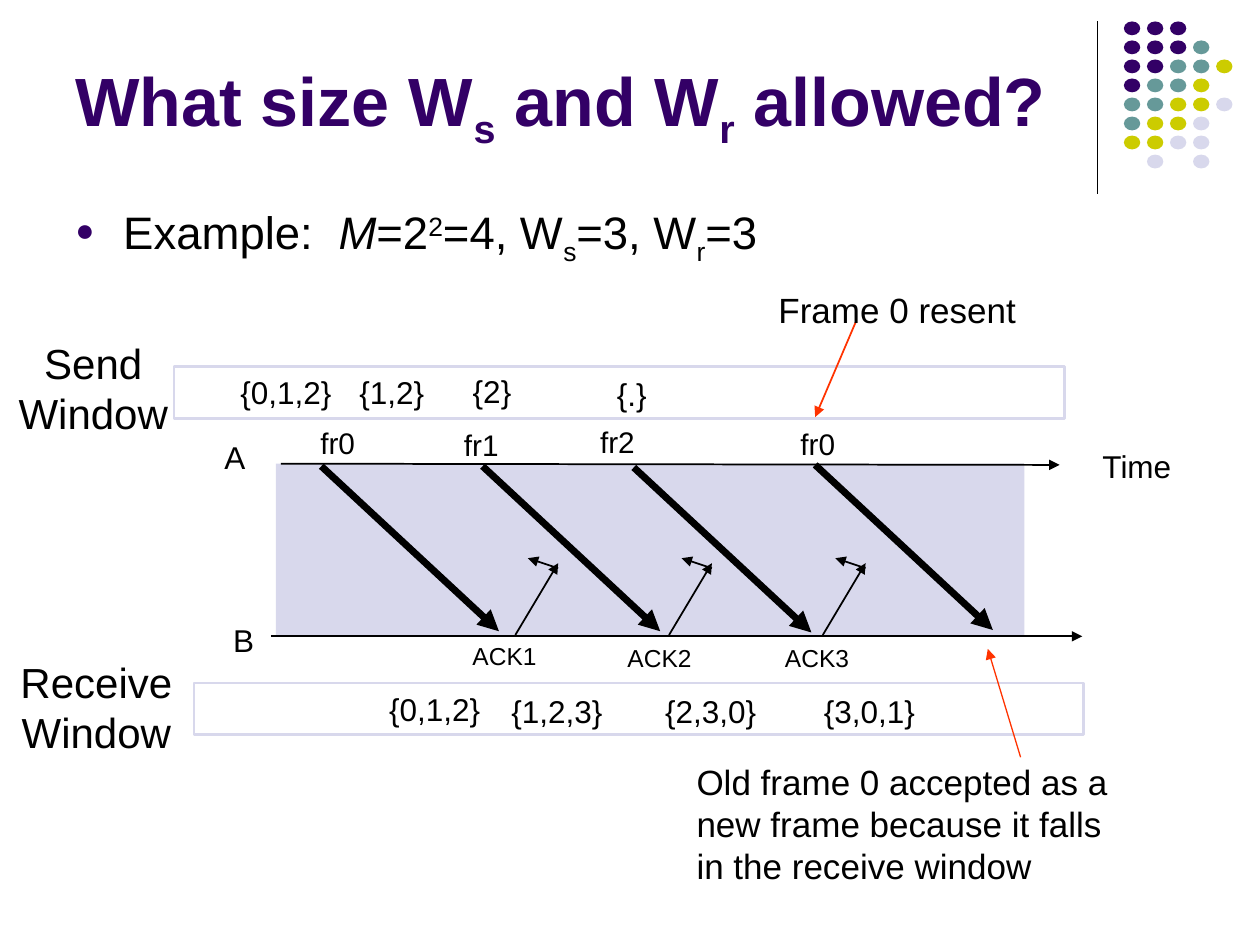
from pptx import Presentation
from pptx.dml.color import RGBColor
from pptx.enum.shapes import MSO_CONNECTOR, MSO_SHAPE
from pptx.enum.text import MSO_ANCHOR, PP_ALIGN
from pptx.oxml.ns import qn
from pptx.util import Emu, Pt
from lxml.etree import SubElement

PX = 9144  # 100 px to the inch
INK, PURPLE, LILAC, RED = "000000", "330066", "D8D8EC", "FF3300"

DOT_COLORS = {"P": PURPLE, "T": "669999", "Y": "CCCC00", "L": LILAC}
DOT_ROWS = ["PPP", "PPPT", "PPTTY", "PTTY", "TTYYL", "TYYL", "YYLL", " L L"]

SUB, SUPER = {"baseline": -25}, {"baseline": 30}
TITLE = [("What size W", {}), ("s", SUB), (" and W", {}), ("r", SUB),
         (" allowed?", {})]
EXAMPLE = [("Example:  ", {}), ("M", {"italic": True}), ("=2", {}),
           ("2", SUPER), ("=4, W", {}), ("s", SUB), ("=3, W", {}),
           ("r", SUB), ("=3", {})]
OLD_FRAME = ["Old frame 0 accepted as a", "new frame because it falls",
             "in the receive window"]

# text, left, top, width, height
AXIS_LABELS = [("A", 166, 342, 41, 42), ("B", 173, 487, 41, 42),
               ("Time", 863, 349, 84, 42)]
FRAME_LABELS = [("fr0", 242, 331, 52, 41), ("fr1", 356, 333, 52, 41),
                ("fr2", 464, 330, 52, 41), ("fr0", 623, 332, 52, 41)]
ACK_LABELS = [("ACK1", 367, 505, 70, 31), ("ACK2", 490, 506, 70, 31),
              ("ACK3", 615, 506, 71, 31)]
WINDOW_SETS = [("{0,1,2}", 179, 291, 96, 40), ("{1,2}", 273, 291, 76, 40),
               ("{2}", 365, 290, 51, 40), ("{.}", 476, 293, 51, 40),
               ("{0,1,2}", 297, 543, 96, 40), ("{1,2,3}", 394, 544, 96, 40),
               ("{2,3,0}", 516, 544, 96, 40), ("{3,0,1}", 642, 544, 96, 40)]
WINDOW_NAMES = [("Send Window", 0, 263, 148, 90),
                ("Receive Window", 0, 516, 153, 90)]
WINDOW_BARS = [(138, 291, 707, 41), (154, 542, 706, 41)]

TIME_AXES = [(223, 368, 841, 369), (215, 505, 859, 505)]
FRAME_STARTS = [(255, 370), (383, 370), (503, 371), (647, 369)]
FRAME_RUN, FRAME_DROP = 141, 131
ACK_STARTS = [409, 531, 653]
RED_POINTERS = [(679, 256, 647, 331, 1), (810, 601, 784, 515, 0.75)]


def px(length):
    return Emu(round(length * PX))


def color(value):
    return RGBColor.from_string(value)


def add_text(page, text, left, top, width, height, size=18, align=PP_ALIGN.LEFT,
             inset=(10, 5), wrap=False, ink=INK, bold=False,
             anchor=MSO_ANCHOR.TOP, bullet=None, spacing=None):
    """Text is a string, a list of paragraph strings, or a list of (text, format) spans."""
    box = page.shapes.add_textbox(px(left), px(top), px(width), px(height))
    frame = box.text_frame
    frame.word_wrap = wrap
    frame.vertical_anchor = anchor
    frame.margin_left = frame.margin_right = px(inset[0])
    frame.margin_top = frame.margin_bottom = px(inset[1])
    if isinstance(text, str):
        text = [text]
    paragraphs = [[(line, {})] for line in text] if isinstance(text[0], str) else [text]
    for number, spans in enumerate(paragraphs):
        para = frame.add_paragraph() if number else frame.paragraphs[0]
        para.alignment = align
        if spacing:
            para.line_spacing = spacing
        if bullet:
            add_bullet(para, bullet)
        for words, style in spans:
            span = para.add_run()
            span.text = words
            span.font.name = "Arial"
            span.font.size = Pt(size)
            span.font.bold = bold
            span.font.italic = style.get("italic", False)
            span.font.color.rgb = color(ink)
            if "baseline" in style:
                span.font._element.set("baseline", str(style["baseline"] * 1000))


def add_bullet(para, character, indent=38):
    properties = para._p.get_or_add_pPr()
    properties.set("marL", str(px(indent)))
    properties.set("indent", str(px(-indent)))
    tint = SubElement(properties, qn("a:buClr"))
    SubElement(tint, qn("a:srgbClr"), val=PURPLE)
    SubElement(properties, qn("a:buSzPct"), val="70000")
    SubElement(properties, qn("a:buFont"), typeface="Arial")
    SubElement(properties, qn("a:buChar"), char=character)


def add_shape(page, kind, left, top, width, height, fill=None, line=None):
    shape = page.shapes.add_shape(kind, px(left), px(top), px(width), px(height))
    shape.shadow.inherit = False
    if fill:
        shape.fill.solid()
        shape.fill.fore_color.rgb = color(fill)
    else:
        shape.fill.background()
    if line:
        shape.line.color.rgb = color(line)
        shape.line.width = Pt(1.5)
    else:
        shape.line.fill.background()


def add_line(page, x1, y1, x2, y2, width=1, ink=INK, arrow=True):
    line = page.shapes.add_connector(MSO_CONNECTOR.STRAIGHT,
                                     px(x1), px(y1), px(x2), px(y2))
    line.line.color.rgb = color(ink)
    line.line.width = Pt(width)
    if arrow:
        SubElement(line.line._get_or_add_ln(), qn("a:tailEnd"), type="triangle")
    SubElement(line._element.spPr, qn("a:effectLst"))


def add_decoration(page):
    add_line(page, 871, 17, 871, 154, width=0.75, arrow=False)
    for row, dots in enumerate(DOT_ROWS):
        for column, dot in enumerate(dots):
            if dot in DOT_COLORS:
                add_shape(page, MSO_SHAPE.OVAL, 892 + 18.3 * column,
                          17 + 15.1 * row, 13, 11, fill=DOT_COLORS[dot])


def add_diagram(page):
    add_shape(page, MSO_SHAPE.RECTANGLE, 219, 368, 594, 136, fill=LILAC)
    for bar in WINDOW_BARS:
        add_shape(page, MSO_SHAPE.RECTANGLE, *bar, line=LILAC)
    for axis in TIME_AXES:
        add_line(page, *axis)
    for x, y in FRAME_STARTS:
        add_line(page, x, y, x + FRAME_RUN, y + FRAME_DROP, width=4)
    for x in ACK_STARTS:
        add_line(page, x, 504, x + 34, 447)
        add_line(page, x + 34, 451, x + 10, 443)
    for *ends, width in RED_POINTERS:
        add_line(page, *ends, width=width, ink=RED)


def add_labels(page):
    for label in AXIS_LABELS:
        add_text(page, *label, inset=(12, 6))
    for label in FRAME_LABELS:
        add_text(page, *label, size=17, align=PP_ALIGN.CENTER, inset=(12, 6))
    for label in ACK_LABELS:
        add_text(page, *label, size=14, inset=(8, 4), wrap=True)
    for label in WINDOW_SETS:
        add_text(page, *label, align=PP_ALIGN.CENTER)
    for label in WINDOW_NAMES:
        add_text(page, *label, size=24, align=PP_ALIGN.CENTER, wrap=True)
    add_text(page, "Frame 0 resent", 608, 224, 220, 43, size=20)
    add_text(page, OLD_FRAME, 543, 599, 370, 110, size=20, wrap=True)


def main():
    deck = Presentation()
    deck.slide_width, deck.slide_height = px(1000), px(750)
    page = deck.slides.add_slide(deck.slide_layouts[6])
    add_decoration(page)
    add_text(page, TITLE, 50, 13, 825, 112, size=39, ink=PURPLE, bold=True,
             wrap=True, anchor=MSO_ANCHOR.BOTTOM)
    add_text(page, EXAMPLE, 50, 158, 900, 58, size=26, wrap=True,
             bullet="●", spacing=0.9)
    add_diagram(page)
    add_labels(page)
    deck.save("out.pptx")


if __name__ == "__main__":
    main()
